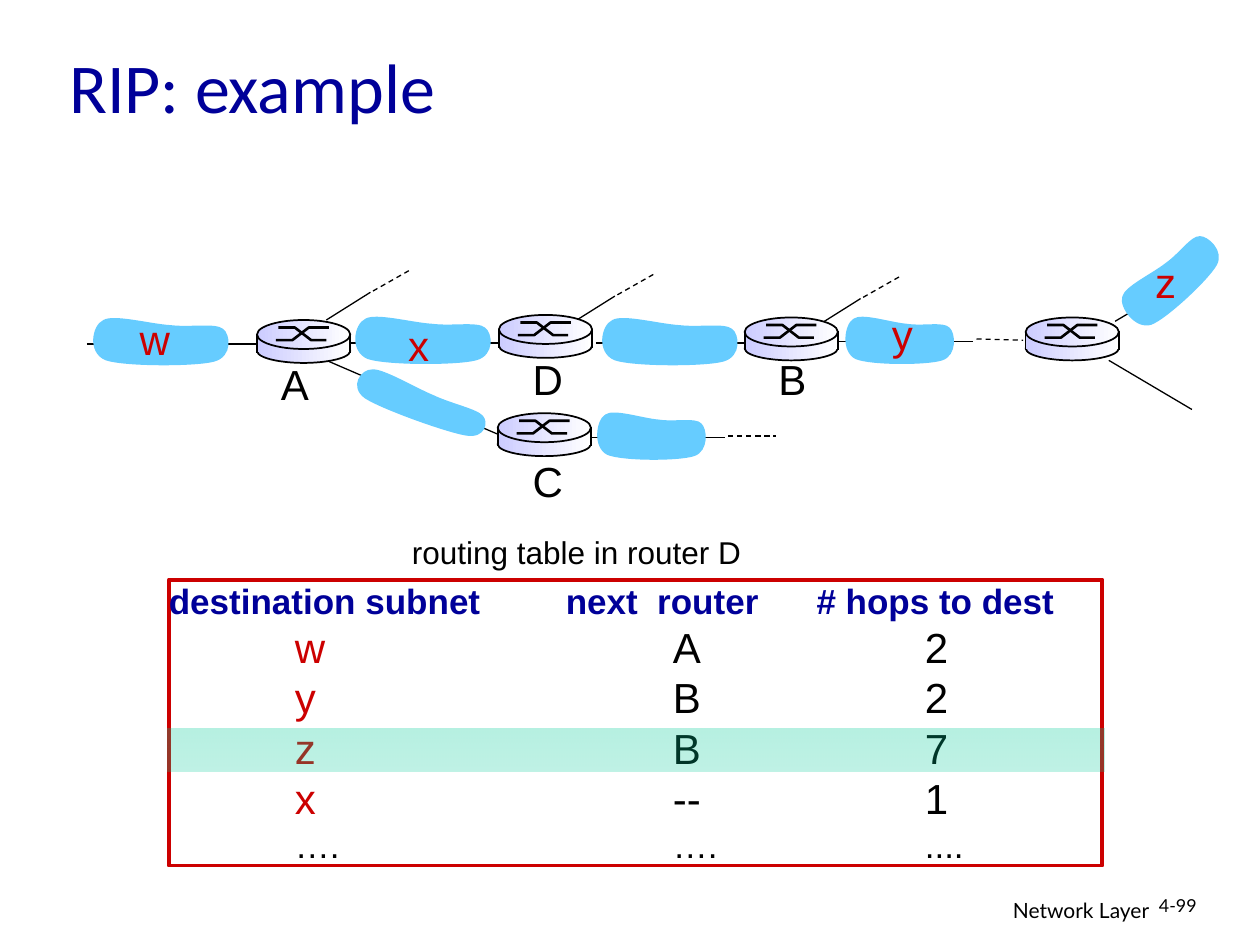
from lxml.etree import SubElement
from pptx import Presentation
from pptx.dml.color import RGBColor as Rgb
from pptx.enum.dml import MSO_LINE as Dash
from pptx.enum.shapes import MSO_CONNECTOR as Conn, MSO_SHAPE as Kind
from pptx.enum.text import MSO_ANCHOR as Anchor, PP_ALIGN as Align
from pptx.oxml.ns import qn
from pptx.util import Pt

PX = 9144
COLORS = {
    "ink": "000000", "navy": "000099", "red": "CC0000", "sky": "66CCFF",
    "lilac": "CCCCFF", "white": "FFFFFF", "mint": "00CC99",
}
BLOB = [
    (66, 9), (50, 8), (21, 0), (13, 5), (4, 9), (0, 31), (15, 37), (30, 42),
    (86, 42), (101, 38), (116, 34), (114, 16), (108, 12), (102, 7), (82, 11),
    (66, 9),
]


def hue(name):
    return Rgb.from_string(COLORS[name])


def emu(*sizes):
    return [size * PX for size in sizes]


def stroke(line, width, name="ink"):
    line.color.rgb = hue(name)
    line.width = Pt(width)


def draw_line(parts, start, end, width=0.75, dashed=False):
    line = parts.add_connector(Conn.STRAIGHT, *emu(*start, *end))
    stroke(line.line, width)
    if dashed:
        line.line.dash_style = Dash.DASH
    SubElement(line._element.spPr, qn("a:effectLst"))


def draw_path(parts, points, closed):
    pen = parts.build_freeform(*points[0], scale=float(PX))
    pen.add_line_segments(points[1:], close=closed)
    shape = pen.convert_to_shape()
    shape.shadow.inherit = False
    return shape


def blend(shape, first, last, angle):
    shape.fill.gradient()
    shape.fill.gradient_angle = angle
    for stop, name in zip(shape.fill.gradient_stops, (first, last)):
        stop.color.rgb = hue(name)


def add_form(parts, kind, box):
    shape = parts.add_shape(kind, *emu(*box))
    shape.shadow.inherit = False
    shape.line.fill.background()
    return shape


def add_run(para, text, size, name, font="Arial", bold=False):
    run = para.add_run()
    run.text = text
    run.font.size = Pt(size)
    run.font.name = font
    run.font.bold = bold
    run.font.color.rgb = hue(name)


def add_text(parts, box, text, size, name="ink", font="Arial",
             wrap=False, align=Align.LEFT, anchor=Anchor.TOP):
    frame = parts.add_textbox(*emu(*box)).text_frame
    frame.word_wrap = wrap
    frame.vertical_anchor = anchor
    para = frame.paragraphs[0]
    para.alignment = align
    add_run(para, text, size, name, font)
    return para


def add_net(parts, box, turn=0):
    shape = draw_path(parts, BLOB, True)
    legs = list(shape._element.iter(qn("a:lnTo")))
    for i in range(0, len(legs), 3):
        curve = legs[i].getparent().makeelement(qn("a:cubicBezTo"))
        legs[i].addprevious(curve)
        for leg in legs[i:i + 3]:
            curve.append(leg[0])
            leg.getparent().remove(leg)
    shape.left, shape.top, shape.width, shape.height = emu(*box)
    shape.rotation = turn
    shape.fill.solid()
    shape.fill.fore_color.rgb = hue("sky")
    shape.line.fill.background()


def add_router(parts, left, top):
    group = parts.add_group_shape().shapes
    for kind, y, height in ((Kind.OVAL, 15, 19), (Kind.RECTANGLE, 13, 12),
                            (Kind.OVAL, 0, 23)):
        shape = add_form(group, kind, (left, top + y, 74, height))
        blend(shape, "lilac", "white", 0)
        if kind == Kind.OVAL:
            stroke(shape.line, 1)
    for zig in (((15, 16), (28, 16), (41, 6), (57, 6)),
                ((17, 6), (30, 6), (43, 16), (55, 16))):
        shape = draw_path(group, [(left + x, top + y) for x, y in zig], False)
        shape.fill.background()
        stroke(shape.line, 1.5)
    for x in (left, left + 74):
        draw_line(group, (x, top + 11), (x, top + 26), 1)


def add_spur(parts, x, y):
    group = parts.add_group_shape().shapes
    draw_line(group, (x, y), (x + 35, y - 22))
    draw_line(group, (x + 37, y - 23), (x + 67, y - 40), dashed=True)


def add_map(parts):
    for x, y in ((69, 273), (277, 272), (473, 272)):
        draw_line(parts, (x, y), (x + 136, y), 1)
    for start, end in (((665, 271), (772, 271)), ((885, 255), (951, 216)),
                       ((880, 286), (946, 325)), ((259, 286), (396, 345)),
                       ((468, 347), (575, 347))):
        draw_line(parts, start, end)
    for start, end in (((775, 269), (812, 270)), ((578, 346), (616, 346))):
        draw_line(parts, start, end, dashed=True)
    for x, y in ((259, 254), (453, 257), (648, 259)):
        add_spur(parts, x, y)
    for box, turn in (((69, 249, 116, 42), 0), ((277, 248, 116, 42), 0),
                      ((473, 249, 116, 42), 0), ((667, 248, 93, 42), 0),
                      ((470, 324, 93, 42), 0), ((276, 304, 116, 31), 19.7),
                      ((881, 201, 95, 42), 316.8)):
        add_net(parts, box, turn)
    for text, x, y, width, name in (
            ("w", 101, 244, 44, "red"), ("x", 314, 249, 36, "red"),
            ("y", 698, 240, 36, "red"), ("z", 907, 199, 36, "red"),
            ("A", 213, 280, 42, "ink"), ("C", 413, 357, 44, "ink"),
            ("D", 413, 276, 44, "ink"), ("B", 608, 276, 42, "ink")):
        add_text(parts, (x, y, width, 50), text, 24, name)
    for spot in ((396, 250), (591, 252), (814, 252), (395, 328), (204, 254)):
        add_router(parts, *spot)


def add_row(para, cells, stops, size, names, height, bold=False):
    para.alignment = Align.LEFT
    para.line_spacing = Pt(height)
    tabs = SubElement(para._p.get_or_add_pPr(), qn("a:tabLst"))
    for stop in stops:
        SubElement(tabs, qn("a:tab"), pos=str(stop * PX), algn="l")
    for text, name in zip(cells, names):
        add_run(para, text, size, name, bold=bold)


def add_routes(parts, left, top, width, height):
    add_text(parts, (left + 183, top - 42, 281, 40),
             "routing table in router D", 18)
    panel = add_form(parts, Kind.RECTANGLE, (left, top, width, height))
    panel.fill.background()
    stroke(panel.line, 2.25, "red")
    frame = panel.text_frame
    frame.word_wrap = True
    frame.vertical_anchor = Anchor.TOP
    frame.margin_left = frame.margin_right = 0
    frame.margin_top = frame.margin_bottom = 0
    add_row(frame.paragraphs[0],
            ("destination subnet", "\tnext  router", "\t# hops to dest"),
            (315, 514), 20, ["navy"] * 3, 24, True)
    stops = (100, 400, 600)
    for net, hop, cost in (("w", "A", "2"), ("y", "B", "2"),
                           ("z", "B", "7"), ("x", "--", "1")):
        add_row(frame.add_paragraph(), (f"\t{net}", f"\t{hop}\t{cost}"),
                stops, 24, ("red", "ink"), 28.8)
    add_row(frame.add_paragraph(), ["\t….\t….\t...."], stops, 20, ["ink"], 24)
    band = add_form(parts, Kind.RECTANGLE, (left - 1, top + 118, width + 3, 34))
    blend(band, "mint", "mint", 270)
    for tint, alpha in zip(band._element.spPr.iter(qn("a:srgbClr")), (29, 25)):
        SubElement(tint, qn("a:alpha"), val=str(alpha * 1000))


def add_foot(parts, left, top):
    add_text(parts, (left, top, 317, 31), "Network Layer", 12,
             font="Lato", wrap=True, align=Align.RIGHT)
    page = add_text(parts, (left + 305, top, 74, 30), "4-99", 10.2,
                    font="Lato", wrap=True)
    page.line_spacing = 0.9


def main():
    deck = Presentation()
    deck.slide_width, deck.slide_height = emu(1000, 750)
    parts = deck.slides.add_slide(deck.slide_layouts[6]).shapes
    add_text(parts, (45, 21, 431, 94), "RIP: example", 40, "navy", "Calibri",
             wrap=True, anchor=Anchor.MIDDLE)
    add_map(parts)
    add_routes(parts, 134, 460, 741, 227)
    add_foot(parts, 605, 707)
    deck.save("out.pptx")


if __name__ == "__main__":
    main()
